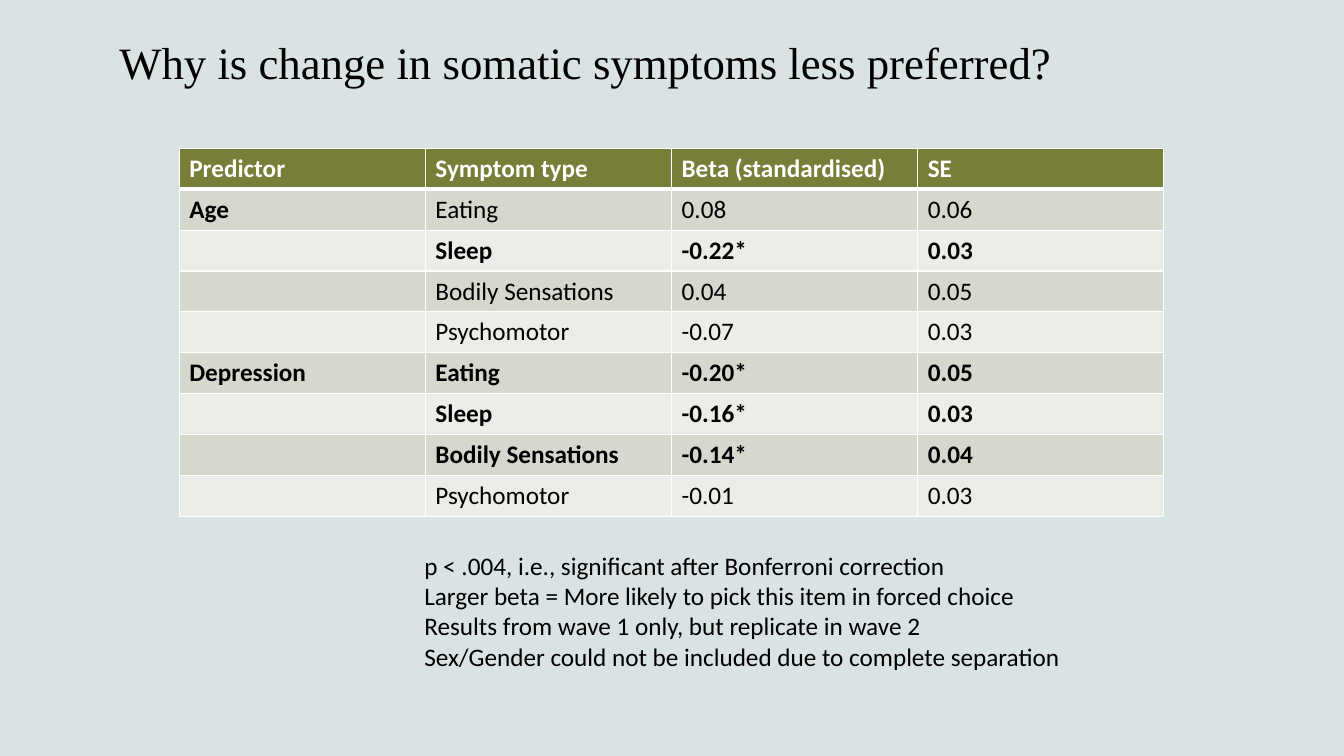
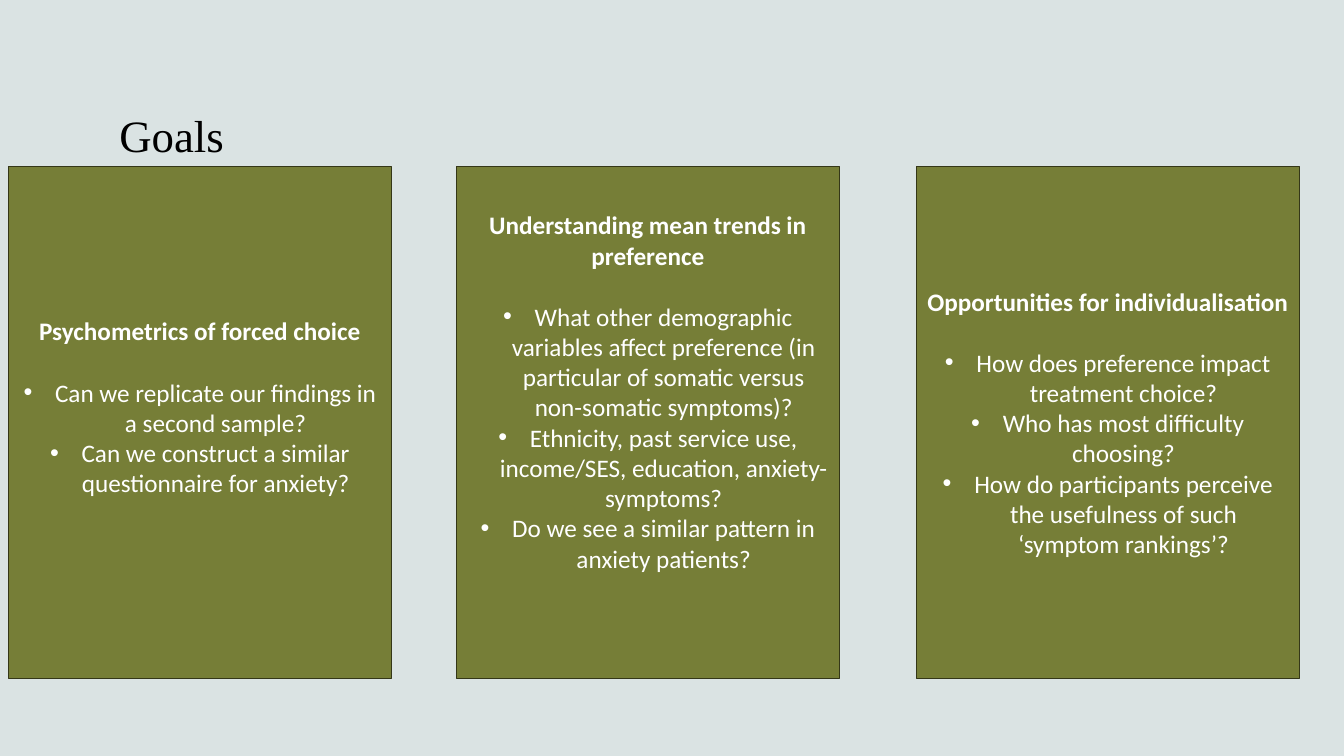
from dataclasses import dataclass

from lxml import etree
from pptx import Presentation
from pptx.dml.color import RGBColor
from pptx.enum import shapes, text
from pptx.oxml import ns
from pptx.util import Pt


@dataclass(frozen=True)
class Theme:
    """Colours, fonts and type sizes shared by the slides."""

    background: str = "DAE3E3"
    olive: str = "767E37"
    outline: str = "343718"
    band_dark: str = "D6D8CE"
    band_light: str = "ECECE8"
    ink: str = "000000"
    paper: str = "FFFFFF"
    title_font: str = "Times New Roman"
    body_font: str = "Calibri"
    title_size: float = 32
    body_size: float = 18
    line: float = 22


THEME = Theme()
TITLE_ONLY = 5

HEADINGS = ("Predictor", "Symptom type", "Beta (standardised)", "SE")
RESULTS = (
    ("Age", "Eating", "0.08", "0.06"),
    ("", "Sleep", "-0.22*", "0.03"),
    ("", "Bodily Sensations", "0.04", "0.05"),
    ("", "Psychomotor", "-0.07", "0.03"),
    ("Depression", "Eating", "-0.20*", "0.05"),
    ("", "Sleep", "-0.16*", "0.03"),
    ("", "Bodily Sensations", "-0.14*", "0.04"),
    ("", "Psychomotor", "-0.01", "0.03"),
)
NOTES = (
    "p < .004, i.e., significant after Bonferroni correction",
    "Larger beta = More likely to pick this item in forced choice",
    "Results from wave 1 only, but replicate in wave 2",
    "Sex/Gender could not be included due to complete separation",
)
GOALS = (
    (6, 1, "Psychometrics of forced choice", (
        "Can we replicate our findings in a second sample?",
        "Can we construct a similar questionnaire for anxiety?",
    )),
    (326, 2, "Understanding mean trends in preference", (
        "What other demographic variables affect preference "
        "(in particular of somatic versus non-somatic symptoms)?",
        "Ethnicity, past service use, income/SES, education, anxiety-symptoms?",
        "Do we see a similar pattern in anxiety patients?",
    )),
    (654.5, 0, "Opportunities for individualisation", (
        "How does preference impact treatment choice?",
        "Who has most difficulty choosing?",
        "How do participants perceive the usefulness of such ‘symptom rankings’?",
    )),
)


def assign(target, values):
    """Set each named format value on the target."""
    for name, value in values.items():
        setattr(target, name, value)


def paint(fill, colour):
    """Give a fill one solid colour."""
    fill.solid()
    fill.fore_color.rgb = RGBColor.from_string(colour)


def write(paragraph, wording, colour, bold=False, font=THEME.body_font, size=THEME.body_size):
    """Add one formatted run to a paragraph."""
    run = paragraph.add_run()
    run.text = wording
    assign(run.font, {"name": font, "size": Pt(size), "bold": bold})
    run.font.color.rgb = RGBColor.from_string(colour)


def next_paragraph(frame, index):
    """Return the first paragraph of a frame, or a new one after it."""
    return frame.add_paragraph() if index else frame.paragraphs[0]


def add_bullet(paragraph, hang=22.5):
    """Give a paragraph a round bullet with a hanging indent."""
    properties = paragraph._p.get_or_add_pPr()
    properties.set("marL", str(Pt(hang)))
    properties.set("indent", str(-Pt(hang)))
    etree.SubElement(properties, ns.qn("a:buFont"), typeface="Arial")
    etree.SubElement(properties, ns.qn("a:buChar"), char="•")


def add_borders(cell, top, bottom):
    """Draw white borders around a table cell."""
    properties = cell._tc.get_or_add_tcPr()
    for side, width in {"L": 1, "R": 1, "T": top, "B": bottom}.items():
        edge = etree.SubElement(properties, ns.qn(f"a:ln{side}"), w=str(Pt(width)))
        solid = etree.SubElement(edge, ns.qn("a:solidFill"))
        etree.SubElement(solid, ns.qn("a:srgbClr"), val=THEME.paper)


def add_titled_slide(deck, wording, top):
    """Add a slide whose title sits at the bottom of its box."""
    slide = deck.slides.add_slide(deck.slide_layouts[TITLE_ONLY])
    title = slide.shapes.title
    assign(title, {"left": Pt(78), "top": Pt(top), "width": Pt(804), "height": Pt(88)})
    assign(title.text_frame, {
        "word_wrap": True,
        "auto_size": text.MSO_AUTO_SIZE.NONE,
        "vertical_anchor": text.MSO_ANCHOR.BOTTOM,
    })
    heading = title.text_frame.paragraphs[0]
    heading.alignment = text.PP_ALIGN.LEFT
    write(heading, wording, THEME.ink, font=THEME.title_font, size=THEME.title_size)
    return slide


def add_results(slide, left, top, width, height):
    """Add the regression table, with significant rows in bold."""
    rows = (HEADINGS, *RESULTS)
    box = (Pt(left), Pt(top), Pt(width), Pt(height))
    results = slide.shapes.add_table(len(rows), len(HEADINGS), *box).table
    assign(results, {"first_row": False, "horz_banding": False})
    for r, row in enumerate(rows):
        is_header = r == 0
        band = THEME.olive if is_header else THEME.band_dark if r % 2 else THEME.band_light
        significant = row[2].endswith("*")
        for c, wording in enumerate(row):
            cell = results.cell(r, c)
            add_borders(cell, top=3 if r == 1 else 1, bottom=3 if is_header else 1)
            paint(cell.fill, band)
            if wording:
                write(cell.text_frame.paragraphs[0], wording,
                      THEME.paper if is_header else THEME.ink,
                      bold=is_header or c == 0 or significant)


def add_notes(slide, left, top, width, height):
    """Add the reading notes below the table."""
    notes = slide.shapes.add_textbox(Pt(left), Pt(top), Pt(width), Pt(height)).text_frame
    notes.word_wrap = True
    for index, note in enumerate(NOTES):
        write(next_paragraph(notes, index), note, THEME.ink)


def add_goal(slide, left, top, width, height, lift, heading, questions):
    """Add a goal card, its text raised by a number of lines."""
    card = slide.shapes.add_shape(
        shapes.MSO_SHAPE.RECTANGLE, Pt(left), Pt(top), Pt(width), Pt(height))
    card.shadow.inherit = False
    paint(card.fill, THEME.olive)
    paint(card.line.fill, THEME.outline)
    card.line.width = Pt(0.85)
    frame = card.text_frame
    assign(frame, {
        "word_wrap": True,
        "vertical_anchor": text.MSO_ANCHOR.MIDDLE,
        "margin_bottom": Pt(3.6 + lift * THEME.line),
    })
    for index, wording in enumerate((heading, *questions)):
        paragraph = next_paragraph(frame, index)
        paragraph.alignment = text.PP_ALIGN.CENTER
        if index:
            add_bullet(paragraph)
        else:
            paragraph.space_after = Pt(THEME.line)
        write(paragraph, wording, THEME.paper, bold=index == 0)


def build_results_slide(deck):
    """Build the slide with the regression results."""
    slide = add_titled_slide(deck, "Why is change in somatic symptoms less preferred?", -21)
    add_results(slide, 128, 106, 703.4, 262.8)
    add_notes(slide, 296, 389.5, 535.5, 94.5)


def build_goals_slide(deck):
    """Build the slide with the three goal cards."""
    slide = add_titled_slide(deck, "Goals", 31)
    for left, lift, heading, questions in GOALS:
        add_goal(slide, left, 118.8, 273.6, 365.6, lift, heading, questions)


def main():
    """Build and save the presentation."""
    deck = Presentation()
    assign(deck, {"slide_width": Pt(960), "slide_height": Pt(540)})
    paint(deck.slide_master.background.fill, THEME.background)
    build_results_slide(deck)
    build_goals_slide(deck)
    deck.save("out.pptx")


if __name__ == "__main__":
    main()
